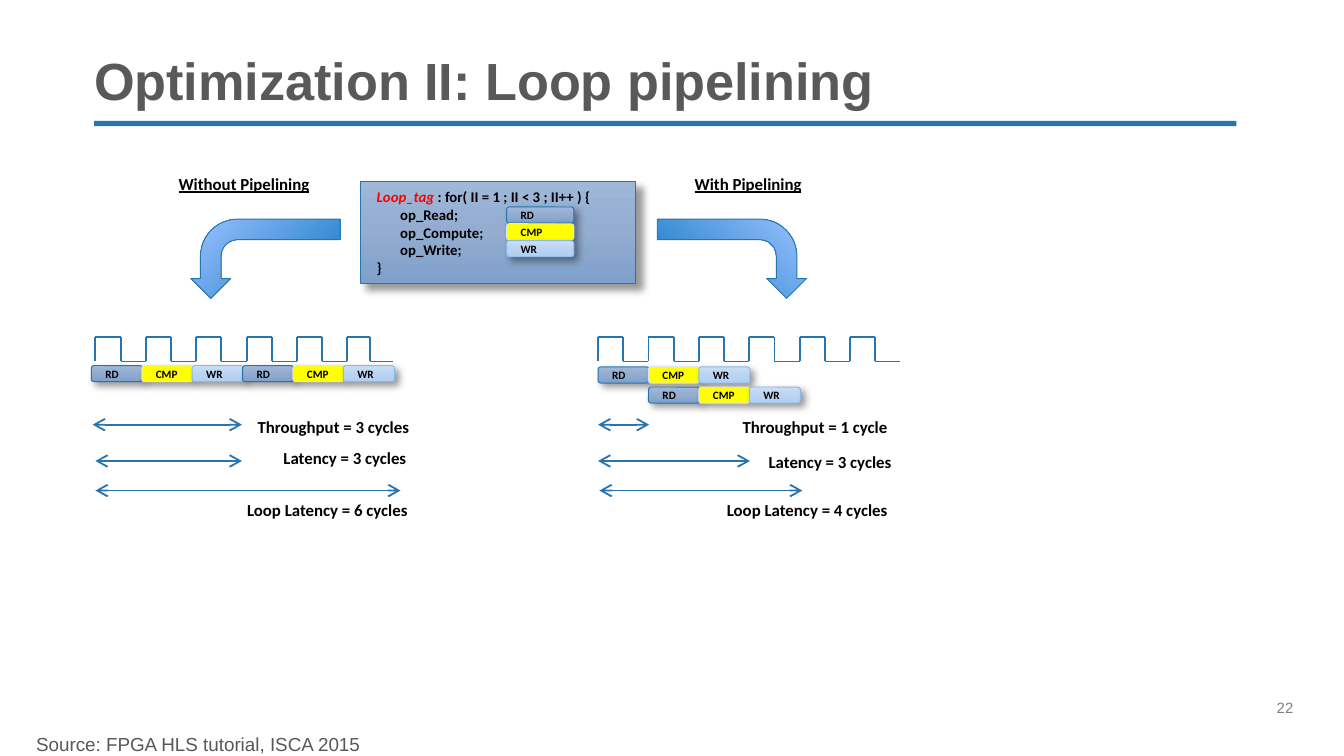
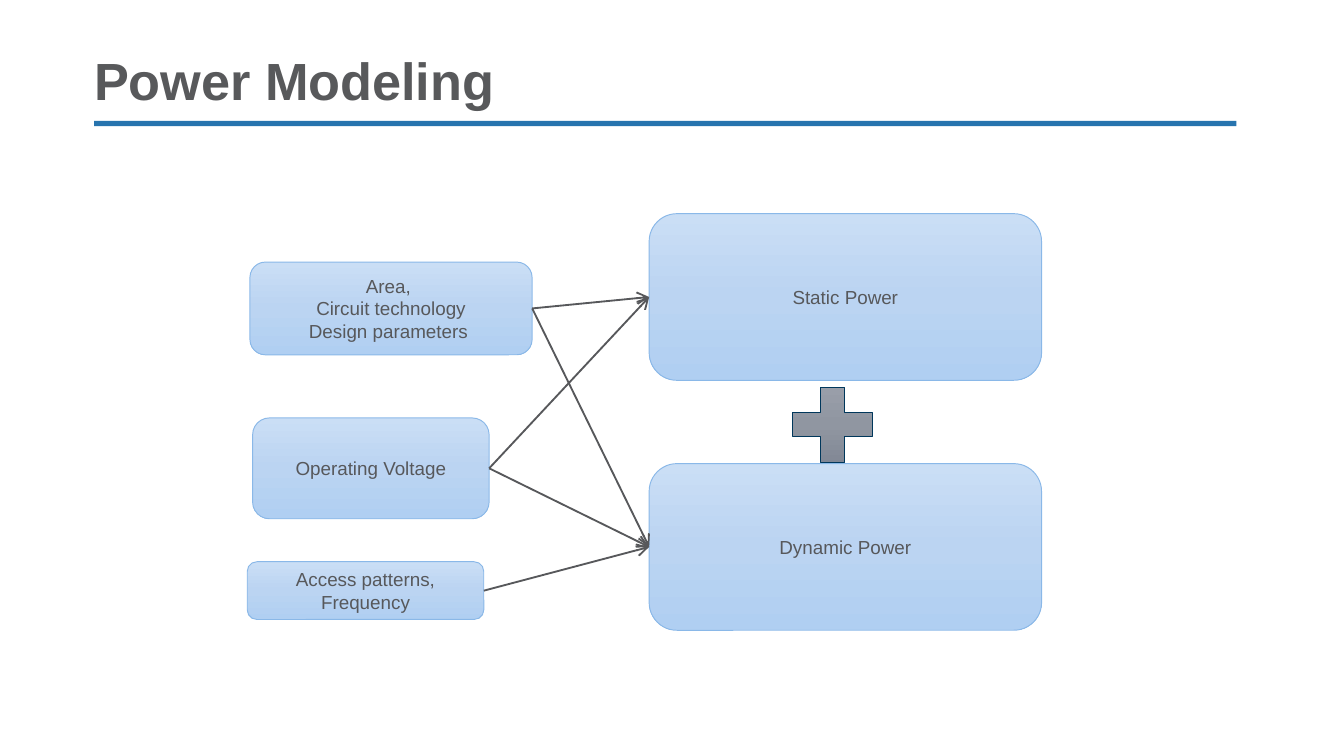
from dataclasses import dataclass
from typing import Optional

from lxml.etree import SubElement
from pptx import Presentation
from pptx.dml.color import RGBColor
from pptx.enum.shapes import MSO_CONNECTOR, MSO_SHAPE
from pptx.enum.text import MSO_ANCHOR, MSO_AUTO_SIZE, PP_ALIGN
from pptx.oxml.ns import qn
from pptx.util import Inches, Pt

COLORS = {
    "blue": "2774AE",
    "title": "58595B",
    "text": "57585B",
    "page": "808080",
    "black": "000000",
    "red": "FF0000",
    "light_line": "8AB8E8",
    "yellow_line": "DAE6F4",
    "plus_line": "00375B",
}


@dataclass(frozen=True)
class Style:
    """Fill stops as (percent, colour), gradient angle in degrees and outline colour."""
    stops: tuple[tuple[int, str], ...]
    line: str
    angle: int = 90


READ = Style(((0, "9FB7D9"), (50, "93ACCF"), (100, "7EA0CC")), COLORS["blue"])
COMPUTE = Style(((0, "FFFF00"),), COLORS["yellow_line"])
WRITE = Style(((0, "CADEF5"), (50, "BBD4F2"), (100, "B0CFF2")), COLORS["light_line"])
TURN = Style(((0, "1377C2"), (100, "9AC2FF")), COLORS["blue"], 225)
PLUS = Style(((0, "9DA2AD"), (50, "9096A1"), (100, "7C8391")), COLORS["plus_line"])

OPERATIONS = (("RD", READ), ("CMP", COMPUTE), ("WR", WRITE))
CYCLE = 3 / 8
CELL_HEIGHT = 0.12
CLOCK_TOP, CLOCK_BOTTOM = 2.51, 2.69
PULSES = 6


@dataclass(frozen=True)
class Font:
    size: float
    color: str
    name: str = "Arial"
    bold: bool = False
    underline: bool = False


TITLE = Font(28, COLORS["title"], bold=True)
BODY = Font(10.1, COLORS["text"])
PAGE = Font(8, COLORS["page"])
LABEL = Font(9, COLORS["black"], "Calibri", True)
HEADING = Font(9, COLORS["black"], "Calibri", True, True)
CELL = Font(6, COLORS["black"], "Calibri", True)
CODE = Font(7.9, COLORS["black"], "Calibri", True)


@dataclass(frozen=True)
class Box:
    left: float
    top: float
    width: float
    height: float

    def lengths(self) -> tuple:
        return tuple(Inches(n) for n in (self.left, self.top, self.width, self.height))


@dataclass(frozen=True)
class Label:
    text: str
    box: Box
    font: Font = LABEL
    align: Optional[PP_ALIGN] = PP_ALIGN.RIGHT
    wrap: bool = False


@dataclass(frozen=True)
class Span:
    """A two-headed measuring arrow."""
    start: float
    end: float
    y: float


@dataclass(frozen=True)
class Node:
    text: str
    box: Box


LABELS = (
    Label("Without Pipelining", Box(1.23, 1.24, 1.19, 0.25), HEADING, None),
    Label("Throughput = 3 cycles", Box(1.81, 3.05, 1.34, 0.25), align=PP_ALIGN.CENTER),
    Label("Latency = 3 cycles", Box(2, 3.28, 1.12, 0.25), wrap=True),
    Label("Loop Latency = 6 cycles", Box(1.72, 3.67, 1.41, 0.25)),
    Label("With Pipelining", Box(5.07, 1.24, 1.01, 0.25), HEADING, None),
    Label("Throughput = 1 cycle", Box(5.41, 3.05, 1.29, 0.25)),
    Label("Latency = 3 cycles", Box(5.05, 3.31, 1.68, 0.25), wrap=True),
    Label("Loop Latency = 4 cycles", Box(5.26, 3.67, 1.44, 0.25), wrap=True),
    Label("Source: FPGA HLS tutorial, ISCA 2015", Box(0.17, 5.4, 2.68, 0.27), BODY, None),
)
SPANS = (
    Span(0.69, 1.8, 3.16), Span(0.71, 1.8, 3.43), Span(0.71, 2.98, 3.65),
    Span(4.45, 4.83, 3.16), Span(4.45, 5.58, 3.43), Span(4.46, 5.97, 3.65),
)
CODE_LINES = (
    "        op_Read;",
    "        op_Compute;",
    "        op_Write;",
    " }",
)
NODES = {
    "static": Node("Static Power", Box(4.83, 1.59, 2.92, 1.24)),
    "dynamic": Node("Dynamic Power", Box(4.83, 3.45, 2.92, 1.24)),
    "area": Node("Area, \nCircuit technology\nDesign parameters ", Box(1.86, 1.95, 2.1, 0.69)),
    "access": Node("Access patterns,\nFrequency", Box(1.84, 4.18, 1.76, 0.43)),
    "voltage": Node("Operating Voltage", Box(1.88, 3.11, 1.76, 0.75)),
}
LINKS = (
    ("area", "static"), ("area", "dynamic"), ("voltage", "static"),
    ("access", "dynamic"), ("voltage", "dynamic"),
)
LEFT_SITE, RIGHT_SITE = 1, 3


def set_font(paragraph, font: Font) -> None:
    paragraph.font.name = font.name
    paragraph.font.size = Pt(font.size)
    paragraph.font.bold = font.bold
    paragraph.font.underline = font.underline
    paragraph.font.color.rgb = RGBColor.from_string(font.color)


def write_text(frame, text: str, font: Font, align: Optional[PP_ALIGN] = None) -> None:
    frame.text = text
    for paragraph in frame.paragraphs:
        paragraph.alignment = align
        set_font(paragraph, font)


def set_fill(shape, style: Style) -> None:
    if len(style.stops) == 1:
        shape.fill.solid()
        shape.fill.fore_color.rgb = RGBColor.from_string(style.stops[0][1])
        return
    shape.fill.background()
    properties = shape._element.spPr
    gradient = SubElement(properties, qn("a:gradFill"), rotWithShape="1")
    stop_list = SubElement(gradient, qn("a:gsLst"))
    for percent, color in style.stops:
        stop = SubElement(stop_list, qn("a:gs"), pos=str(percent * 1000))
        SubElement(stop, qn("a:srgbClr"), val=color)
    SubElement(gradient, qn("a:lin"), ang=str(style.angle * 60000), scaled="0")
    properties.replace(properties.find(qn("a:noFill")), gradient)


def add_styled_shape(slide, kind: MSO_SHAPE, box: Box, style: Style):
    shape = slide.shapes.add_shape(kind, *box.lengths())
    shape.shadow.inherit = False
    set_fill(shape, style)
    shape.line.color.rgb = RGBColor.from_string(style.line)
    shape.line.width = Pt(0.5)
    return shape


def add_shadow(shape, distance: int) -> None:
    effects = shape._element.spPr.find(qn("a:effectLst"))
    shadow = SubElement(effects, qn("a:outerShdw"), blurRad=str(Pt(4)),
                        dist=str(Pt(distance)), dir=str(45 * 60000),
                        algn="tl", rotWithShape="0")
    color = SubElement(shadow, qn("a:srgbClr"), val=COLORS["black"])
    SubElement(color, qn("a:alpha"), val="40000")


def add_line(shapes, start: tuple[float, float], end: tuple[float, float],
             color: str, arrows: tuple[str, ...] = ()):
    """Draw a line; arrows names the ends to arm: headEnd, tailEnd."""
    points = [Inches(n) for n in (*start, *end)]
    connector = shapes.add_connector(MSO_CONNECTOR.STRAIGHT, *points)
    connector.line.color.rgb = RGBColor.from_string(color)
    connector.line.width = Pt(1)
    for arrow in arrows:
        SubElement(connector.line._get_or_add_ln(), qn(f"a:{arrow}"), type="arrow")
    SubElement(connector._element.spPr, qn("a:effectLst"))
    return connector


def add_label(slide, label: Label) -> None:
    frame = slide.shapes.add_textbox(*label.box.lengths()).text_frame
    frame.word_wrap = label.wrap
    frame.auto_size = MSO_AUTO_SIZE.SHAPE_TO_FIT_TEXT
    write_text(frame, label.text, label.font, label.align)


def add_flush_text(slide, text: str, box: Box, font: Font):
    """Add a text box without inner margins."""
    frame = slide.shapes.add_textbox(*box.lengths()).text_frame
    frame.margin_left = frame.margin_top = frame.margin_right = frame.margin_bottom = 0
    frame.word_wrap = True
    write_text(frame, text, font)
    return frame


def add_titled_slide(presentation, title: str):
    slide = presentation.slides.add_slide(presentation.slide_layouts[6])
    rule = slide.shapes.add_shape(MSO_SHAPE.RECTANGLE, *Box(0.7, 0.9, 8.5, 0.04).lengths())
    rule.shadow.inherit = False
    rule.fill.solid()
    rule.fill.fore_color.rgb = RGBColor.from_string(COLORS["blue"])
    rule.line.fill.background()
    frame = add_flush_text(slide, title, Box(0.7, 0.4, 8.5, 0.43), TITLE)
    frame.vertical_anchor = MSO_ANCHOR.BOTTOM
    frame.paragraphs[0].line_spacing = 0.9
    return slide


def add_clock(slide, left: float, last_cycle: float) -> None:
    for pulse in range(PULSES):
        cycle = last_cycle if pulse == PULSES - 1 else CYCLE
        start = left + pulse * CYCLE
        middle, end = start + cycle / 2, start + cycle
        group = slide.shapes.add_group_shape()
        for first, last in (
            ((start, CLOCK_TOP), (middle, CLOCK_TOP)),
            ((middle, CLOCK_TOP), (middle, CLOCK_BOTTOM)),
            ((start, CLOCK_TOP), (start, CLOCK_BOTTOM)),
            ((middle, CLOCK_BOTTOM), (end, CLOCK_BOTTOM)),
        ):
            add_line(group.shapes, first, last, COLORS["blue"])


def add_operations(slide, left: float, top: float, width: float = 0.38,
                   step_x: float = CYCLE, step_y: float = 0) -> None:
    """Draw the read, compute and write cells, each one step after the last."""
    for index, (name, style) in enumerate(OPERATIONS):
        box = Box(left + index * step_x, top + index * step_y, width, CELL_HEIGHT)
        cell = add_styled_shape(slide, MSO_SHAPE.ROUNDED_RECTANGLE, box, style)
        add_shadow(cell, 3)
        cell.text_frame.vertical_anchor = MSO_ANCHOR.MIDDLE
        write_text(cell.text_frame, name, CELL, PP_ALIGN.LEFT)


def add_loop_code(slide) -> None:
    panel = add_styled_shape(slide, MSO_SHAPE.RECTANGLE, Box(2.68, 1.35, 2.05, 0.76), READ)
    add_shadow(panel, 5)
    frame = panel.text_frame
    frame.vertical_anchor = MSO_ANCHOR.TOP
    write_text(frame, "\n".join((" ", *CODE_LINES)), CODE, PP_ALIGN.LEFT)
    tag = frame.paragraphs[0].add_run()
    tag.text = "Loop_tag "
    tag.font.italic = True
    tag.font.color.rgb = RGBColor.from_string(COLORS["red"])
    frame.paragraphs[0].add_run().text = ": for( II = 1 ; II < 3 ; II++ ) {"
    add_operations(slide, 3.77, 1.54, 0.5, 0, CYCLE / 3)


def add_turn_arrow(slide, left: float, rotation: int, mirrored: bool) -> None:
    arrow = add_styled_shape(slide, MSO_SHAPE.BENT_ARROW, Box(left, 1.37, 0.59, 1.11), TURN)
    for index, value in enumerate((0.26, 0.25, 0.25, 0.47)):
        arrow.adjustments[index] = value
    arrow.rotation = rotation
    if mirrored:
        arrow._element.spPr.find(qn("a:xfrm")).set("flipH", "1")


def build_pipelining(presentation) -> None:
    slide = add_titled_slide(presentation, "Optimization II: Loop pipelining")
    add_flush_text(slide, "22", Box(9.5, 5.2, 0.5, 0.42), PAGE)
    add_clock(slide, 0.71, 0.34)
    add_clock(slide, 4.45, CYCLE)
    for left, top in ((0.68, 2.72), (0.68 + 3 * CYCLE, 2.72),
                      (4.45, 2.73), (4.45 + CYCLE, 2.88)):
        add_operations(slide, left, top)
    add_loop_code(slide)
    add_turn_arrow(slide, 1.68, 270, True)
    add_turn_arrow(slide, 5.15, 90, False)
    for span in SPANS:
        add_line(slide.shapes, (span.start, span.y), (span.end, span.y),
                 COLORS["blue"], ("headEnd", "tailEnd"))
    for label in LABELS:
        add_label(slide, label)


def build_power(presentation) -> None:
    slide = add_titled_slide(presentation, "Power Modeling")
    shapes = {}
    for key, node in NODES.items():
        shape = add_styled_shape(slide, MSO_SHAPE.ROUNDED_RECTANGLE, node.box, WRITE)
        shape.text_frame.vertical_anchor = MSO_ANCHOR.MIDDLE
        write_text(shape.text_frame, node.text, BODY, PP_ALIGN.CENTER)
        shapes[key] = shape
    for source, target in LINKS:
        connector = add_line(slide.shapes, (0, 0), (1, 1), COLORS["text"], ("tailEnd",))
        connector.begin_connect(shapes[source], RIGHT_SITE)
        connector.end_connect(shapes[target], LEFT_SITE)
    add_styled_shape(slide, MSO_SHAPE.MATH_PLUS, Box(5.79, 2.78, 0.81, 0.76), PLUS)


def main() -> None:
    presentation = Presentation()
    presentation.slide_width = Inches(10)
    presentation.slide_height = presentation.slide_width * 9 // 16
    build_pipelining(presentation)
    build_power(presentation)
    presentation.save("out.pptx")


if __name__ == "__main__":
    main()
